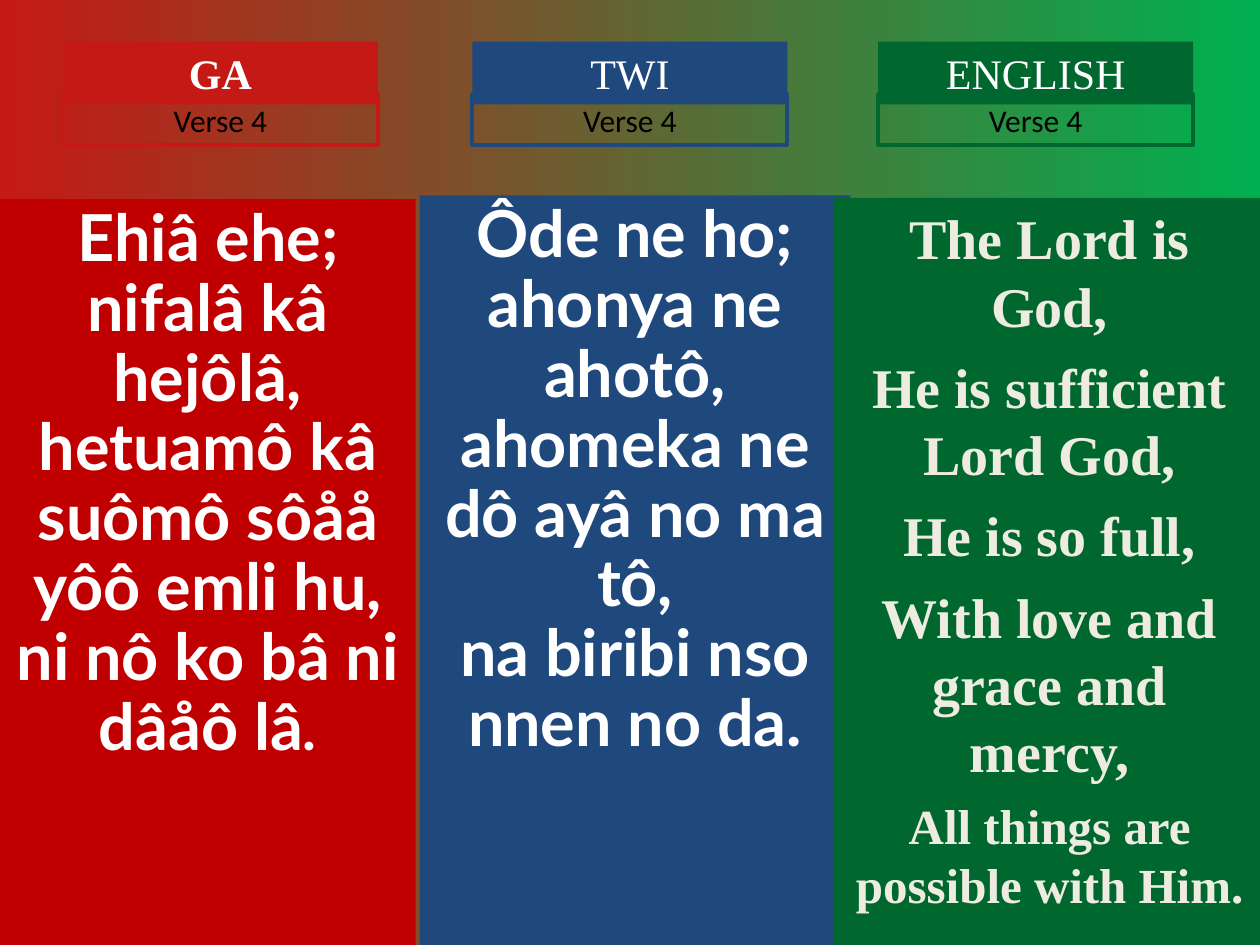
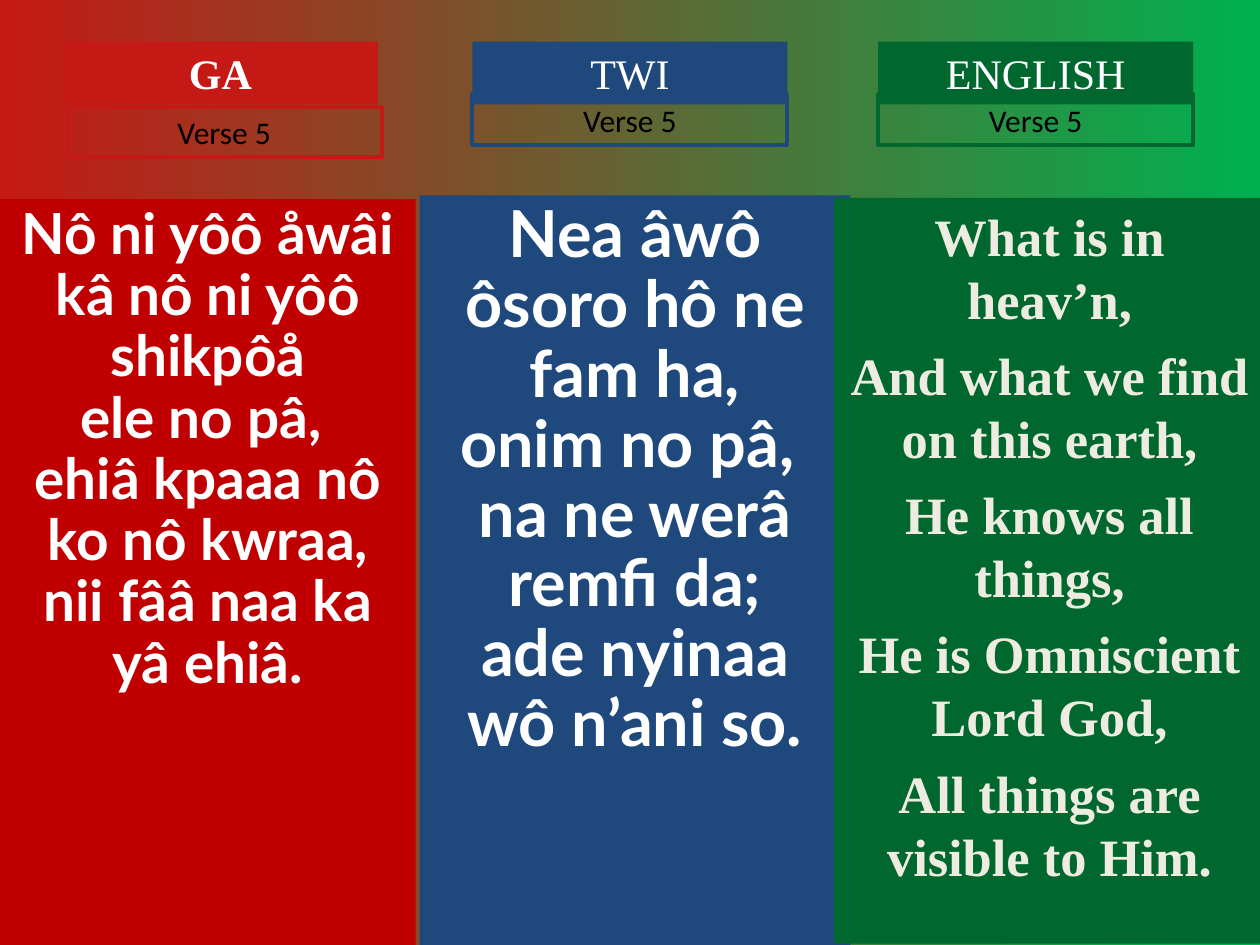
from pptx import Presentation
from pptx.dml.color import RGBColor
from pptx.enum.shapes import MSO_SHAPE as Shape
from pptx.enum.text import MSO_ANCHOR as Anchor, MSO_AUTO_SIZE as AutoSize, PP_ALIGN as Align
from pptx.util import Inches, Pt

BACKGROUND = ("C51915", "00B050")
WHITE, CREAM, BLACK = "FFFFFF", "EEECE1", "000000"
LABEL_WIDTH, HEADING_TOP, HEADING_HEIGHT = 2.5, 0.33, 0.5
VERSE_TOP, VERSE_HEIGHT = 0.75, 0.4

# panel: left, top, width, height in inches; gap: space before a line, per point of its size
LANGUAGES = {
    "GA": dict(panel=(0, 1.58, 3.3, 5.92), panel_fill="C00000", label_left=0.5, label_fill="C51915",
               bold=True, font="Lato", ink=WHITE, spacing=0.9, gap=0),
    "TWI": dict(panel=(3.33, 1.55, 3.42, 5.95), panel_fill="1F497D", label_left=3.75, label_fill="1F497D",
                bold=False, font="Lato", ink=WHITE, spacing=0.9, gap=0),
    "ENGLISH": dict(panel=(6.62, 1.57, 3.42, 5.92), panel_fill="00682F", label_left=6.97, label_fill="00682F",
                    bold=False, font="Times New Roman", ink=CREAM, spacing=None, gap=0.25),
}

# Each line is a list of (text, size) pieces, or plain text at the size of its verse.
VERSES = [
    {
        "label": "Verse 4",
        "label_shift": {},
        "panel_height": {"ENGLISH": 6.1},
        "GA": (37, ["Ehiâ ehe; nifalâ kâ hejôlâ,",
                    "hetuamô kâ suômô sôåå yôô emli hu,",
                    [("ni nô ko bâ ni dâåô lâ", 37), (".", 33.3)]]),
        "TWI": (37, ["Ôde ne ho; ahonya ne ahotô,",
                     "ahomeka ne dô ayâ no ma tô,",
                     "na biribi nso nnen no da."]),
        "ENGLISH": (32, ["The Lord is God,",
                         "He is sufficient Lord God,",
                         "He is so full,",
                         "With love and grace and mercy,",
                         [("All things are possible with Him.", 28)]]),
    },
    {
        "label": "Verse 5",
        "label_shift": {"GA": (0.03, 0.1)},
        "panel_height": {},
        "GA": (32.4, ["Nô ni yôô åwâi kâ nô ni yôô shikpôå",
                      "ele no pâ, ",
                      "ehiâ kpaaa nô ko nô kwraa,",
                      "nii fââ naa ka yâ ehiâ."]),
        "TWI": (37, ["Nea âwô ôsoro hô ne fam ha,",
                     "onim no pâ, ",
                     "na ne werâ remfi da;",
                     "ade nyinaa wô n’ani so."]),
        "ENGLISH": (30, ["What is in heav’n,",
                         "And what we find on this earth,",
                         "He knows all things,",
                         "He is Omniscient Lord God,",
                         "All things are visible to Him."]),
    },
]


def rgb(color):
    return RGBColor.from_string(color)


def style(run, font, size, color, bold):
    run.font.name, run.font.size, run.font.bold = font, Pt(size), bold
    run.font.color.rgb = rgb(color)


def add_box(slide, place, fill=None, line=None):
    box = slide.shapes.add_shape(Shape.RECTANGLE, *map(Inches, place))
    box.shadow.inherit = False
    if fill:
        box.fill.solid()
        box.fill.fore_color.rgb = rgb(fill)
    else:
        box.fill.background()
    if line:
        box.line.color.rgb = rgb(line)
        box.line.width = Pt(2.25)
    else:
        box.line.fill.background()
    frame = box.text_frame
    frame.word_wrap = True
    frame.vertical_anchor = Anchor.TOP
    return frame


def add_label(slide, place, text, font, size, color, bold=False, **paint):
    frame = add_box(slide, place, **paint)
    frame.auto_size = AutoSize.SHAPE_TO_FIT_TEXT
    frame.text = text
    frame.paragraphs[0].alignment = Align.CENTER
    style(frame.paragraphs[0].runs[0], font, size, color, bold)


def add_panel(slide, place, language, size, lines):
    frame = add_box(slide, place, fill=language["panel_fill"])
    for number, line in enumerate(lines):
        pieces = [(line, size)] if isinstance(line, str) else line
        paragraph = frame.add_paragraph() if number else frame.paragraphs[0]
        paragraph.alignment = Align.CENTER
        if language["spacing"]:
            paragraph.line_spacing = language["spacing"]
        if number and language["gap"]:
            paragraph.space_before = Pt(pieces[0][1] * language["gap"])
        for text, piece_size in pieces:
            run = paragraph.add_run()
            run.text = text
            style(run, language["font"], piece_size, language["ink"], True)


def add_verse_slide(deck, verse):
    slide = deck.slides.add_slide(deck.slide_layouts[6])
    backdrop = slide.background.fill
    backdrop.gradient()
    backdrop.gradient_angle = 0
    for stop, color, position in zip(backdrop.gradient_stops, BACKGROUND, (0, 1)):
        stop.color.rgb = rgb(color)
        stop.position = position

    for name, language in LANGUAGES.items():
        *corner_and_width, height = language["panel"]
        height = verse["panel_height"].get(name, height)
        add_panel(slide, (*corner_and_width, height), language, *verse[name])

        left, color = language["label_left"], language["label_fill"]
        add_label(slide, (left, HEADING_TOP, LABEL_WIDTH, HEADING_HEIGHT), name,
                  "Times New Roman", 24, WHITE, language["bold"], fill=color)
        right, down = verse["label_shift"].get(name, (0, 0))
        add_label(slide, (left + right, VERSE_TOP + down, LABEL_WIDTH, VERSE_HEIGHT),
                  verse["label"], "Calibri", 18, BLACK, line=color)


def main():
    deck = Presentation()
    deck.slide_width, deck.slide_height = Inches(10), Inches(7.5)
    for verse in VERSES:
        add_verse_slide(deck, verse)
    deck.save("out.pptx")


if __name__ == "__main__":
    main()
